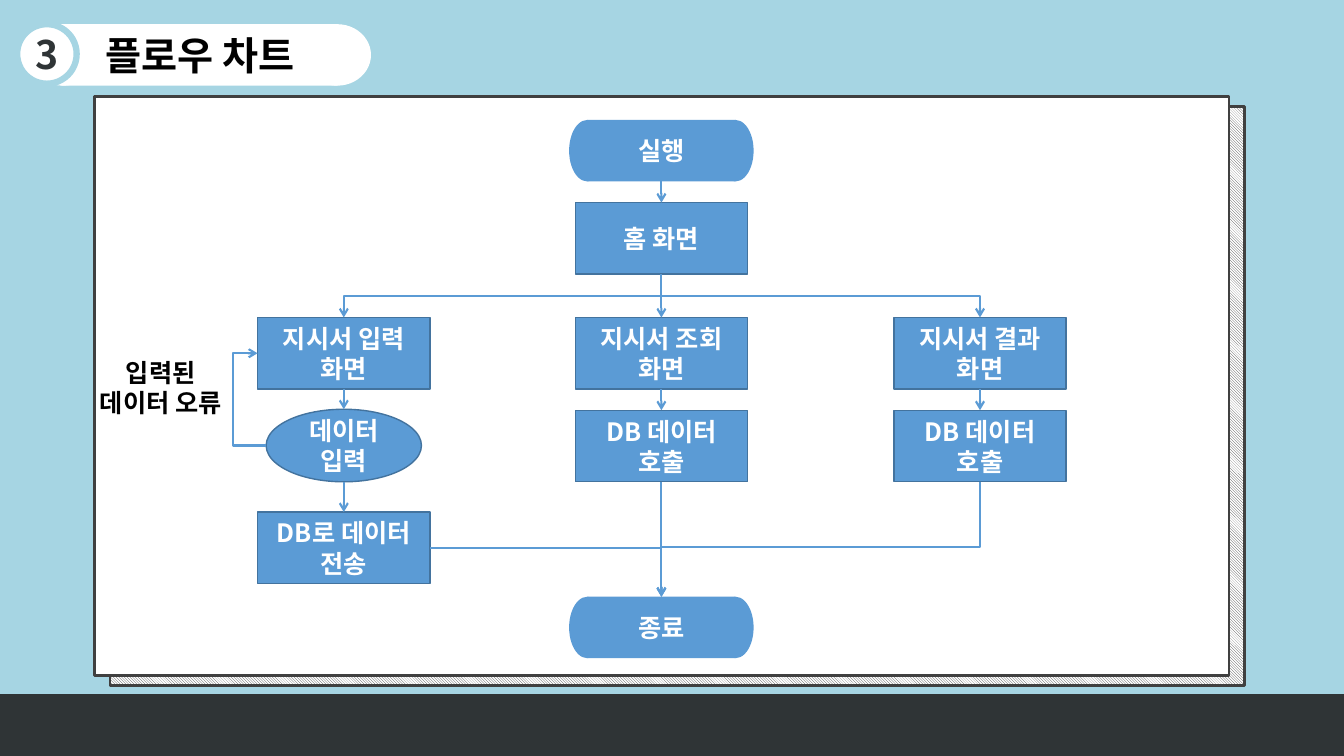
from lxml.etree import SubElement
from pptx import Presentation
from pptx.dml.color import RGBColor
from pptx.enum.dml import MSO_PATTERN
from pptx.enum.shapes import MSO_CONNECTOR as Connector, MSO_SHAPE as Preset
from pptx.enum.text import MSO_ANCHOR, MSO_AUTO_SIZE, PP_ALIGN
from pptx.oxml.ns import qn
from pptx.util import Inches, Pt

SKY = RGBColor(0xA6, 0xD5, 0xE3)
WHITE = RGBColor(0xFF, 0xFF, 0xFF)
BLACK = RGBColor(0x00, 0x00, 0x00)
CHARCOAL = RGBColor(0x2F, 0x34, 0x36)
FRAME = RGBColor(0x40, 0x40, 0x40)
BLUE = RGBColor(0x5B, 0x9B, 0xD5)
BLUE_EDGE = RGBColor(0x43, 0x73, 0x9E)

FONT = "Noto Sans CJK KR"
COLUMNS = (3.41, 6.56, 9.72)
BOX_WIDTH, BOX_HEIGHT = 1.71, 0.71
HOME_TOP, SCREEN_TOP, DATA_TOP, SEND_TOP = 2.01, 3.15, 4.07, 5.08
OVAL_TOP, OVAL_WIDTH, OVAL_HEIGHT = 4.06, 1.54, 0.72
START_TOP, END_TOP = 1.19, 5.92
TERMINAL_WIDTH, TERMINAL_HEIGHT, TERMINAL_CAP = 1.83, 0.61, 0.36


class FlowSlide:
    """Holds the current slide and draws flow chart elements in one style."""

    def __init__(self, slide):
        self.slide = slide
        slide.background.fill.solid()
        slide.background.fill.fore_color.rgb = SKY

    def set_text(self, shape, lines, size=18, color=WHITE, wrap=True):
        frame = shape.text_frame
        frame_format = {"auto_size": MSO_AUTO_SIZE.NONE, "word_wrap": wrap,
                        "vertical_anchor": MSO_ANCHOR.MIDDLE}
        for name, value in frame_format.items():
            setattr(frame, name, value)
        frame.text = "\n".join(lines)
        for paragraph in frame.paragraphs:
            paragraph.alignment = PP_ALIGN.CENTER
            paragraph.line_spacing = 1.0
            run = paragraph.runs[0]
            run_format = {"name": FONT, "size": Pt(size), "bold": True}
            for name, value in run_format.items():
                setattr(run.font, name, value)
            run.font.color.rgb = color
            SubElement(run.font._element, qn("a:ea"), typeface=FONT)

    def shape(self, preset, left, top, width, height, fill,
              edge=None, edge_width=1, parent=None):
        shapes = (parent or self.slide).shapes
        shape = shapes.add_shape(preset, Inches(left), Inches(top),
                                 Inches(width), Inches(height))
        shape.shadow.inherit = False
        shape.fill.solid()
        shape.fill.fore_color.rgb = fill
        if edge is None:
            shape.line.fill.background()
        else:
            shape.line.color.rgb = edge
            shape.line.width = Pt(edge_width)
        return shape

    def caps(self, left, top, width, height, cap, fill, parent=None):
        """Draw the two round ends of a pill."""
        for cap_left in (left + width - cap, left):
            self.shape(Preset.OVAL, cap_left, top, cap, height, fill, parent=parent)

    def title(self, text, left, top, width, height):
        title = self.slide.shapes.title
        place = {"left": left, "top": top, "width": width, "height": height}
        for name, value in place.items():
            setattr(title, name, Inches(value))
        title.fill.solid()
        title.fill.fore_color.rgb = WHITE
        self.set_text(title, [text], 28, BLACK)
        self.slide.shapes._spTree.append(title._element)

    def terminal(self, text, center, top):
        group = self.slide.shapes.add_group_shape()
        left = center - TERMINAL_WIDTH / 2
        self.caps(left, top, TERMINAL_WIDTH, TERMINAL_HEIGHT, TERMINAL_CAP, BLUE, group)
        body = self.shape(Preset.RECTANGLE, left + TERMINAL_CAP / 2, top,
                          TERMINAL_WIDTH - TERMINAL_CAP, TERMINAL_HEIGHT, BLUE, parent=group)
        self.set_text(body, [text])

    def step(self, lines, center, top, preset=Preset.RECTANGLE,
             width=BOX_WIDTH, height=BOX_HEIGHT):
        box = self.shape(preset, center - width / 2, top, width, height, BLUE, BLUE_EDGE)
        self.set_text(box, lines)

    def label(self, lines, left, top, width, height):
        box = self.slide.shapes.add_textbox(Inches(left), Inches(top),
                                            Inches(width), Inches(height))
        self.set_text(box, lines, color=BLACK, wrap=False)

    def arrow(self, start, end, kind=Connector.STRAIGHT, preset=None, bend=None):
        connector = self.slide.shapes.add_connector(
            kind, *(Inches(value) for value in (*start, *end)))
        connector.line.color.rgb = BLUE
        connector.line.width = Pt(1.5)
        properties = connector._element.spPr
        SubElement(properties.find(qn("a:ln")), qn("a:tailEnd"), type="arrow")
        SubElement(properties, qn("a:effectLst"))
        geometry = properties.find(qn("a:prstGeom"))
        if preset:
            geometry.set("prst", preset)
        if bend is not None:
            SubElement(geometry.find(qn("a:avLst")), qn("a:gd"), name="adj1",
                       fmla=f"val {round(bend * 100000)}")
        return connector

    def drop(self, start, end, bend=0.5):
        """Draw an elbow arrow that leaves downwards, runs across and goes down."""
        middle_x, middle_y = (start[0] + end[0]) / 2, (start[1] + end[1]) / 2
        half_x, half_y = abs(end[0] - start[0]) / 2, (end[1] - start[1]) / 2
        connector = self.arrow((middle_x - half_y, middle_y - half_x),
                               (middle_x + half_y, middle_y + half_x),
                               Connector.ELBOW, bend=bend)
        transform = connector._element.spPr.find(qn("a:xfrm"))
        goes_right = end[0] > start[0]
        transform.set("rot", str((270 if goes_right else 90) * 60000))
        transform.set("flipH", str(int(goes_right)))


def main():
    presentation = Presentation()
    presentation.slide_width, presentation.slide_height = Inches(13.33), Inches(7.5)
    flow = FlowSlide(presentation.slides.add_slide(presentation.slide_layouts[5]))
    left, center, right = COLUMNS

    backing = flow.shape(Preset.RECTANGLE, 1.09, 1.06, 11.25, 5.74, WHITE, FRAME, 2)
    backing.fill.patterned()
    backing.fill.pattern = MSO_PATTERN.DARK_DOWNWARD_DIAGONAL
    backing.fill.fore_color.rgb = FRAME
    backing.fill.back_color.rgb = WHITE
    flow.shape(Preset.RECTANGLE, 0.94, 0.96, 11.25, 5.74, WHITE, FRAME, 2)
    flow.shape(Preset.RECTANGLE, 0, 6.89, 13.33, 0.61, CHARCOAL, CHARCOAL)

    flow.caps(0.29, 0.24, 3.39, 0.61, 0.67, WHITE)
    flow.title("플로우 차트", 0.61, 0.24, 2.74, 0.61)
    badge = flow.shape(Preset.OVAL, 0.17, 0.24, 0.59, 0.59, WHITE, SKY, 4.5)
    flow.set_text(badge, ["3"], 28, CHARCOAL)

    flow.terminal("실행", center, START_TOP)
    flow.step(["홈 화면"], center, HOME_TOP)
    for column, task in zip(COLUMNS, ("입력", "조회", "결과")):
        flow.step([f"지시서 {task}", "화면"], column, SCREEN_TOP)
    flow.step(["데이터 입력"], left, OVAL_TOP, Preset.OVAL, OVAL_WIDTH, OVAL_HEIGHT)
    flow.step(["DB로 데이터", "전송"], left, SEND_TOP)
    for column in (center, right):
        flow.step(["DB 데이터", "호출"], column, DATA_TOP)
    flow.terminal("종료", center, END_TOP)

    home_bottom = HOME_TOP + BOX_HEIGHT
    screen_bottom = SCREEN_TOP + BOX_HEIGHT
    data_bottom = DATA_TOP + BOX_HEIGHT
    straight_arrows = (
        (center, START_TOP + TERMINAL_HEIGHT, HOME_TOP),
        (center, home_bottom, SCREEN_TOP),
        (left, screen_bottom, OVAL_TOP),
        (left, OVAL_TOP + OVAL_HEIGHT, SEND_TOP),
        (center, screen_bottom, DATA_TOP),
        (right, screen_bottom, DATA_TOP),
        (center, data_bottom, END_TOP),
    )
    for column, top, bottom in straight_arrows:
        flow.arrow((column, top), (column, bottom))
    for column in (left, right):
        flow.drop((center, home_bottom), (column, SCREEN_TOP))
    flow.drop((right, data_bottom), (center, END_TOP), 0.57)
    flow.arrow((left + BOX_WIDTH / 2, SEND_TOP + BOX_HEIGHT / 2), (center, END_TOP),
               Connector.ELBOW, "bentConnector2")
    flow.arrow((left - OVAL_WIDTH / 2, OVAL_TOP + OVAL_HEIGHT / 2),
               (left - BOX_WIDTH / 2, SCREEN_TOP + BOX_HEIGHT / 2),
               Connector.ELBOW, bend=3.9)
    flow.label(["입력된", "데이터 오류"], 0.88, 3.49, 1.43, 0.71)

    presentation.save("out.pptx")


if __name__ == "__main__":
    main()
